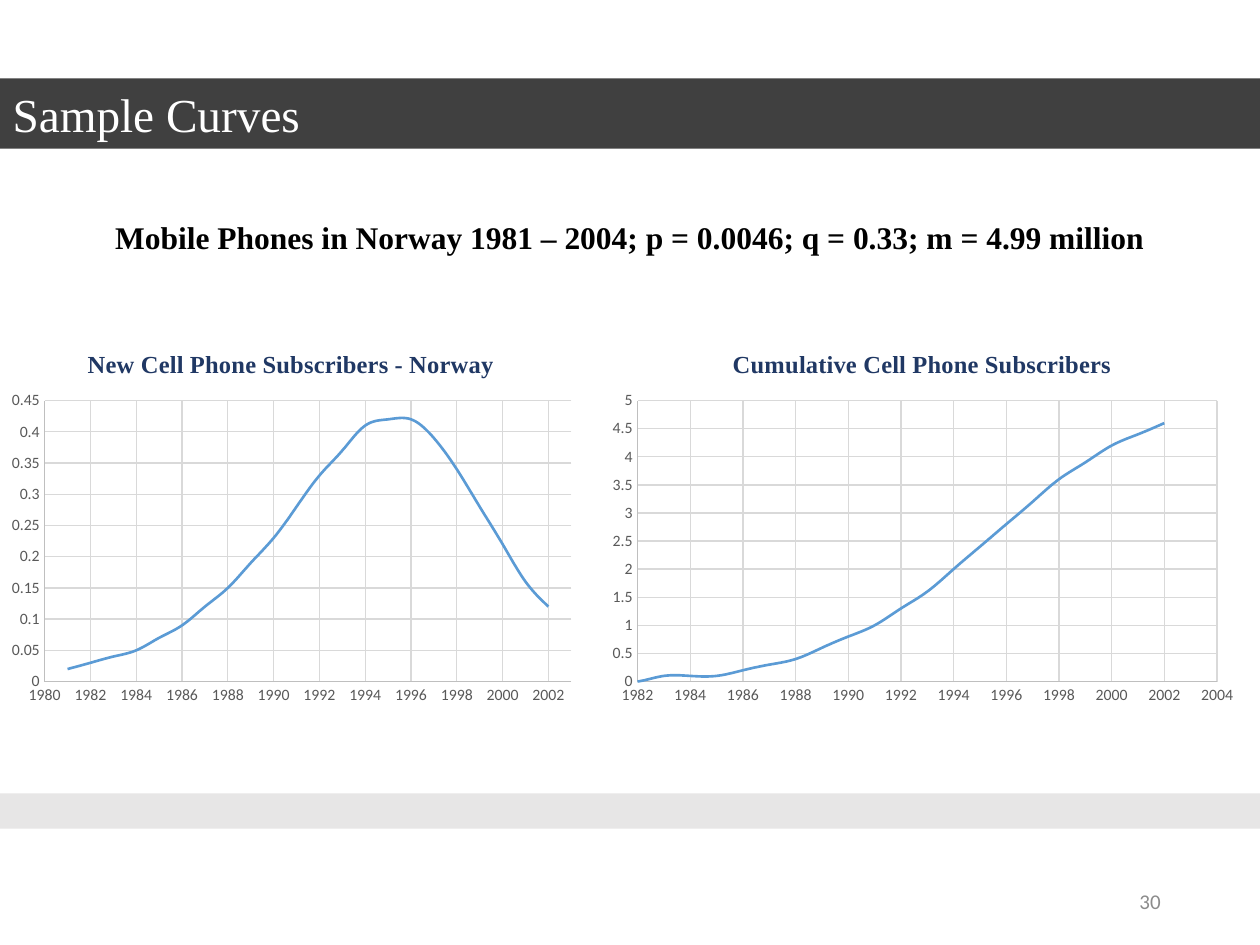
from dataclasses import dataclass

import pptx
import pptx.chart.data
import pptx.dml.color
import pptx.enum.chart
import pptx.enum.shapes
import pptx.enum.text
import pptx.oxml
import pptx.oxml.ns
import pptx.util

COLS, ROWS = 100, 75
WIDE, HIGH = pptx.util.Inches(10), pptx.util.Inches(7.5)
SERIF, SANS = "Times New Roman", "Calibri"
DARK, PALE, WHITE, BLACK = "404040", "E7E6E6", "FFFFFF", "000000"
NAVY, BLUE, GRID, AXIS, LABEL, FAINT = (
    "203864", "5B9BD5", "D9D9D9", "BFBFBF", "595959", "8C8C8C")
ALIGN = pptx.enum.text.PP_ALIGN
ANCHOR = pptx.enum.text.MSO_ANCHOR

YEARS = range(1981, 2003)
SALES = [0.02, 0.03, 0.04, 0.05, 0.07, 0.09, 0.12, 0.15, 0.19, 0.23, 0.28,
         0.33, 0.37, 0.41, 0.42, 0.42, 0.39, 0.34, 0.28, 0.22, 0.16, 0.12]
TOTALS = [0, 0, 0.1, 0.1, 0.1, 0.2, 0.3, 0.4, 0.6, 0.8, 1,
          1.3, 1.6, 2, 2.4, 2.8, 3.2, 3.6, 3.9, 4.2, 4.4, 4.6]


@dataclass
class Box:
    """A place on the slide, in columns and rows of the grid."""
    left: float
    top: float
    width: float
    height: float

    def emu(self) -> tuple[int, int, int, int]:
        return (int(self.left * WIDE / COLS), int(self.top * HIGH / ROWS),
                int(self.width * WIDE / COLS), int(self.height * HIGH / ROWS))


@dataclass
class Curve:
    title: str
    vals: list[float]
    box: Box
    plot: Box
    head: float  # column where the title starts
    years: tuple[int, int]
    top: float
    step: float


CURVES = [
    Curve("Cumulative Cell Phone Subscribers", TOTALS, Box(47.6, 26.1, 51.2, 30.4),
          Box(50.6, 31.8, 46, 22.3), 57.8, (1982, 2004), 5, 0.5),
    Curve("New Cell Phone Subscribers - Norway", SALES, Box(0, 26.1, 46.2, 30.4),
          Box(3.55, 31.8, 41.8, 22.3), 6.6, (1980, 2003), 0.45, 0.05),
]


def color(code: str) -> pptx.dml.color.RGBColor:
    return pptx.dml.color.RGBColor.from_string(code)


def style(font, size: float, code: str, name: str, bold: bool = False) -> None:
    font.size, font.name, font.bold = pptx.util.Pt(size), name, bold
    font.color.rgb = color(code)


def stroke(line, code: str, width: float) -> None:
    line.color.rgb = color(code)
    line.width = pptx.util.Pt(width)


def paint(shape, code: str) -> None:
    shape.fill.solid()
    shape.fill.fore_color.rgb = color(code)


def write(shape, text: str, align, anchor):
    """Fill the frame with one paragraph and return its font."""
    frame = shape.text_frame
    frame.word_wrap, frame.vertical_anchor = True, anchor
    para = frame.paragraphs[0]
    para.text, para.alignment = text, align
    return para.font


def label(slide, box: Box, text: str, align, anchor):
    return write(slide.shapes.add_textbox(*box.emu()), text, align, anchor)


def pin(part, **shares: float) -> None:
    """Give a chart part a fixed layout, in shares of the chart."""
    for old in part.findall(pptx.oxml.ns.qn("c:layout")):
        part.remove(old)
    inner = '<c:layoutTarget val="inner"/>' if "w" in shares else ""
    modes = "".join(f'<c:{key}Mode val="edge"/>' for key in "xy")
    sizes = "".join(f'<c:{key} val="{val:.4f}"/>' for key, val in shares.items())
    layout = pptx.oxml.parse_xml(
        f'<c:layout {pptx.oxml.ns.nsdecls("c")}><c:manualLayout>'
        f'{inner}{modes}{sizes}</c:manualLayout></c:layout>')
    text = part.find(pptx.oxml.ns.qn("c:tx"))
    if text is None:
        part.insert(0, layout)
    else:
        text.addnext(layout)


def bend(series) -> None:
    """Smooth a scatter series, which has no public switch for it."""
    tag = pptx.oxml.ns.qn("c:smooth")
    for old in series._element.findall(tag):
        series._element.remove(old)
    series._element.append(pptx.oxml.parse_xml(
        f'<c:smooth {pptx.oxml.ns.nsdecls("c")} val="1"/>'))


def scale(axis, low: float, high: float, step: float) -> None:
    axis.minimum_scale, axis.maximum_scale, axis.major_unit = low, high, step
    axis.major_tick_mark = axis.minor_tick_mark = pptx.enum.chart.XL_TICK_MARK.NONE
    axis.has_major_gridlines = True
    stroke(axis.major_gridlines.format.line, GRID, 0.75)
    stroke(axis.format.line, AXIS, 0.75)
    style(axis.tick_labels.font, 9, LABEL, SANS)
    axis.tick_labels.number_format = "General"
    axis.tick_labels.number_format_is_linked = False


def draw(slide, curve: Curve) -> None:
    data = pptx.chart.data.XyChartData()
    points = data.add_series("Series 1")
    for year, val in zip(YEARS, curve.vals):
        points.add_data_point(year, val)
    kind = pptx.enum.chart.XL_CHART_TYPE.XY_SCATTER_SMOOTH_NO_MARKERS
    chart = slide.shapes.add_chart(kind, *curve.box.emu(), data).chart
    style(chart.font, 10, BLACK, SANS)
    chart.has_legend = False
    chart.has_title = True
    para = chart.chart_title.text_frame.paragraphs[0]
    para.text = curve.title
    style(para.font, 14, NAVY, SERIF, True)

    plot = chart.plots[0]
    plot.vary_by_categories = False
    series = plot.series[0]
    bend(series)
    stroke(series.format.line, BLUE, 1.5)
    scale(chart.category_axis, *curve.years, 2)
    scale(chart.value_axis, 0, curve.top, curve.step)

    box, area = curve.box, curve.plot
    pin(chart.chart_title._element, x=(curve.head - box.left) / box.width, y=0.04)
    pin(chart._chartSpace.chart.plotArea,
        x=(area.left - box.left) / box.width, y=(area.top - box.top) / box.height,
        w=area.width / box.width, h=area.height / box.height)


def main() -> None:
    deck = pptx.Presentation()
    deck.slide_width, deck.slide_height = WIDE, HIGH
    slide = deck.slides.add_slide(deck.slide_layouts[5])

    title = slide.shapes.title
    title.left, title.top, title.width, title.height = Box(0, 6.23, COLS, 5.57).emu()
    paint(title, DARK)
    style(write(title, "Sample Curves", ALIGN.LEFT, ANCHOR.MIDDLE), 27, WHITE, SERIF)

    band = slide.shapes.add_shape(
        pptx.enum.shapes.MSO_SHAPE.RECTANGLE, *Box(0, 62.96, COLS, 2.8).emu())
    band.shadow.inherit = False
    paint(band, PALE)
    band.line.fill.background()

    for curve in CURVES:
        draw(slide, curve)

    note = "Mobile Phones in Norway 1981 – 2004; p = 0.0046; q = 0.33; m = 4.99 million"
    style(label(slide, Box(7.7, 16.8, 84.6, 4), note, ALIGN.CENTER, ANCHOR.TOP),
          18, BLACK, SERIF, True)
    style(label(slide, Box(70.6, 69.5, 22.5, 4), "30", ALIGN.RIGHT, ANCHOR.MIDDLE),
          12, FAINT, SANS)
    deck.save("out.pptx")


if __name__ == "__main__":
    main()
